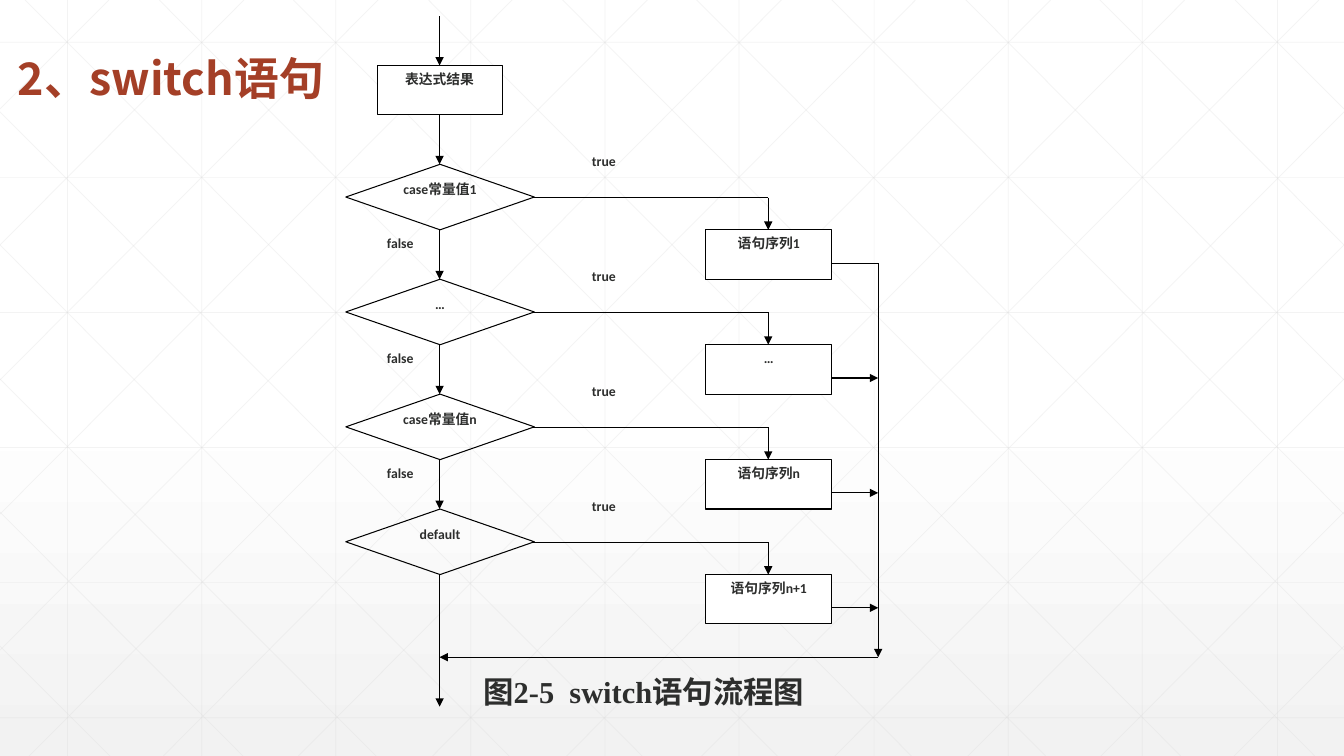
"""Build the switch statement flowchart slide."""
from dataclasses import dataclass

from lxml.etree import SubElement
from pptx import Presentation
from pptx.dml.color import RGBColor
from pptx.enum.shapes import MSO_CONNECTOR, MSO_SHAPE
from pptx.enum.text import MSO_ANCHOR, PP_ALIGN
from pptx.oxml.ns import qn
from pptx.util import Emu, Pt

SCALE = 9144
WIDE, HIGH = 1333, 750
HUES = {"ink": "000000", "text": "2D2E2D", "title": "A43F27",
        "paper": "FFFFFF", "shade": "F2F2F2", "grid": "D9D9D9"}
AXIS, RAIL, STEP = 436, 871, 114


@dataclass(frozen=True)
class Type:
    size: float = 9.8
    face: str = "Calibri"
    hue: str = "text"
    align: PP_ALIGN = PP_ALIGN.CENTER
    anchor: MSO_ANCHOR = MSO_ANCHOR.TOP
    inset: tuple[int, int] = (10, 5)
    space: float = 1.0


@dataclass
class Node:
    text: str
    left: int
    top: int
    width: int
    height: int
    kind: MSO_SHAPE | None = None
    filled: bool = True
    type: Type = Type()


@dataclass
class Edge:
    x1: int
    y1: int
    x2: int
    y2: int
    arrow: bool = True


@dataclass
class Case:
    test: str
    action: str


CASES = [Case("case常量值1", "语句序列1"), Case("…", "…"),
         Case("case常量值n", "语句序列n"), Case("default", "语句序列n+1")]


def px(count: int) -> Emu:
    return Emu(count * SCALE)


def hue(name: str) -> RGBColor:
    return RGBColor.from_string(HUES[name])


def draw_edge(slide, edge: Edge, name: str = "ink", width: float = 0.75,
              alpha: int = 100) -> None:
    link = slide.shapes.add_connector(
        MSO_CONNECTOR.STRAIGHT, px(edge.x1), px(edge.y1), px(edge.x2), px(edge.y2))
    link.line.color.rgb = hue(name)
    link.line.width = Pt(width)
    props = link.element.spPr
    line = props.find(qn("a:ln"))
    if alpha < 100:
        tint = line.find(".//" + qn("a:srgbClr"))
        SubElement(tint, qn("a:alpha"), val=str(alpha * 1000))
    if edge.arrow:
        SubElement(line, qn("a:tailEnd"), type="triangle")
    SubElement(props, qn("a:effectLst"))


def set_text(shape, text: str, style: Type) -> None:
    frame = shape.text_frame
    frame.text = text
    frame.word_wrap = True
    frame.vertical_anchor = style.anchor
    side, edge = style.inset
    frame.margin_left = frame.margin_right = px(side)
    frame.margin_top = frame.margin_bottom = px(edge)
    para = frame.paragraphs[0]
    para.alignment = style.align
    para.line_spacing = style.space
    for run in para.runs:
        font = run.font
        font.size, font.bold, font.name = Pt(style.size), True, style.face
        font.color.rgb = hue(style.hue)
        SubElement(run._r.get_or_add_rPr(), qn("a:ea"), typeface="Noto Sans CJK SC")


def draw_node(slide, node: Node) -> None:
    place = [px(n) for n in (node.left, node.top, node.width, node.height)]
    if node.kind is None:
        shape = slide.shapes.add_textbox(*place)
    else:
        shape = slide.shapes.add_shape(node.kind, *place)
        shape.shadow.inherit = False
        shape.line.color.rgb = hue("ink")
        shape.line.width = Pt(0.75)
        if node.filled:
            shape.fill.solid()
            shape.fill.fore_color.rgb = hue("paper")
        else:
            shape.fill.background()
    set_text(shape, node.text, node.type)


def draw_back(slide) -> None:
    fill = slide.background.fill
    fill.gradient()
    fill.gradient_angle = 270
    for stop, name, place in zip(fill.gradient_stops, ("paper", "shade"), (0.53, 1)):
        stop.color.rgb = hue(name)
        stop.position = place
    grid = [Edge(x, 0, x, HIGH) for x in (67 + 400 * k // 3 for k in range(10))]
    grid += [Edge(0, y, WIDE, y) for y in range(42, HIGH, 134)]
    slants = []
    for k in range(10):
        start = 25 + 400 * k // 3
        run = min(746, WIDE - start)
        slants.append(Edge(start, 0, start + run, run * HIGH // 746))
    slants += [Edge(637 - 132 * k, HIGH, 0, 111 + 265 * k // 2) for k in range(5)]
    grid += slants
    grid += [Edge(WIDE - s.x1, s.y1, WIDE - s.x2, s.y2) for s in slants]
    for edge in grid:
        edge.arrow = False
        draw_edge(slide, edge, "grid", 0.5, 30)


def draw_case(slide, case: Case, row: int) -> None:
    top = 163 + STEP * row
    mid, low, out = top + 33, top + 65, top + 98
    last = row == len(CASES) - 1
    draw_node(slide, Node(case.test, 343, top, 187, 65, MSO_SHAPE.DIAMOND, False,
                          Type(inset=(0, 0))))
    draw_node(slide, Node(case.action, 700, low, 125, 49, MSO_SHAPE.RECTANGLE))
    draw_node(slide, Node("true", 560, top - 16, 78, 49))
    draw_edge(slide, Edge(529, mid, 762, mid, False))
    draw_edge(slide, Edge(762, mid, 762, low))
    draw_edge(slide, Edge(825, out, RAIL, out, row > 0))
    draw_edge(slide, Edge(AXIS, low, AXIS, 701 if last else top + STEP))
    if not last:
        draw_node(slide, Node("false", 358, low, 78, 48))


def main() -> None:
    deck = Presentation()
    deck.slide_width, deck.slide_height = px(WIDE), px(HIGH)
    slide = deck.slides.add_slide(deck.slide_layouts[6])
    draw_back(slide)
    draw_node(slide, Node("表达式结果", 374, 65, 124, 49, MSO_SHAPE.RECTANGLE))
    for row, case in enumerate(CASES):
        draw_case(slide, case, row)
    for edge in (Edge(AXIS, 16, AXIS, 65), Edge(AXIS, 114, AXIS, 163),
                 Edge(RAIL, 261, RAIL, 652), Edge(RAIL, 652, AXIS, 652)):
        draw_edge(slide, edge)
    draw_node(slide, Node("图2-5  switch语句流程图", 404, 663, 469, 45, type=Type(
        21.7, "Times New Roman", anchor=MSO_ANCHOR.MIDDLE, inset=(9, 4))))
    draw_node(slide, Node("2、switch语句", 8, 9, 891, 100, type=Type(
        32, "Noto Sans CJK SC", "title", PP_ALIGN.LEFT, MSO_ANCHOR.BOTTOM,
        space=0.9)))
    deck.save("out.pptx")


if __name__ == "__main__":
    main()
